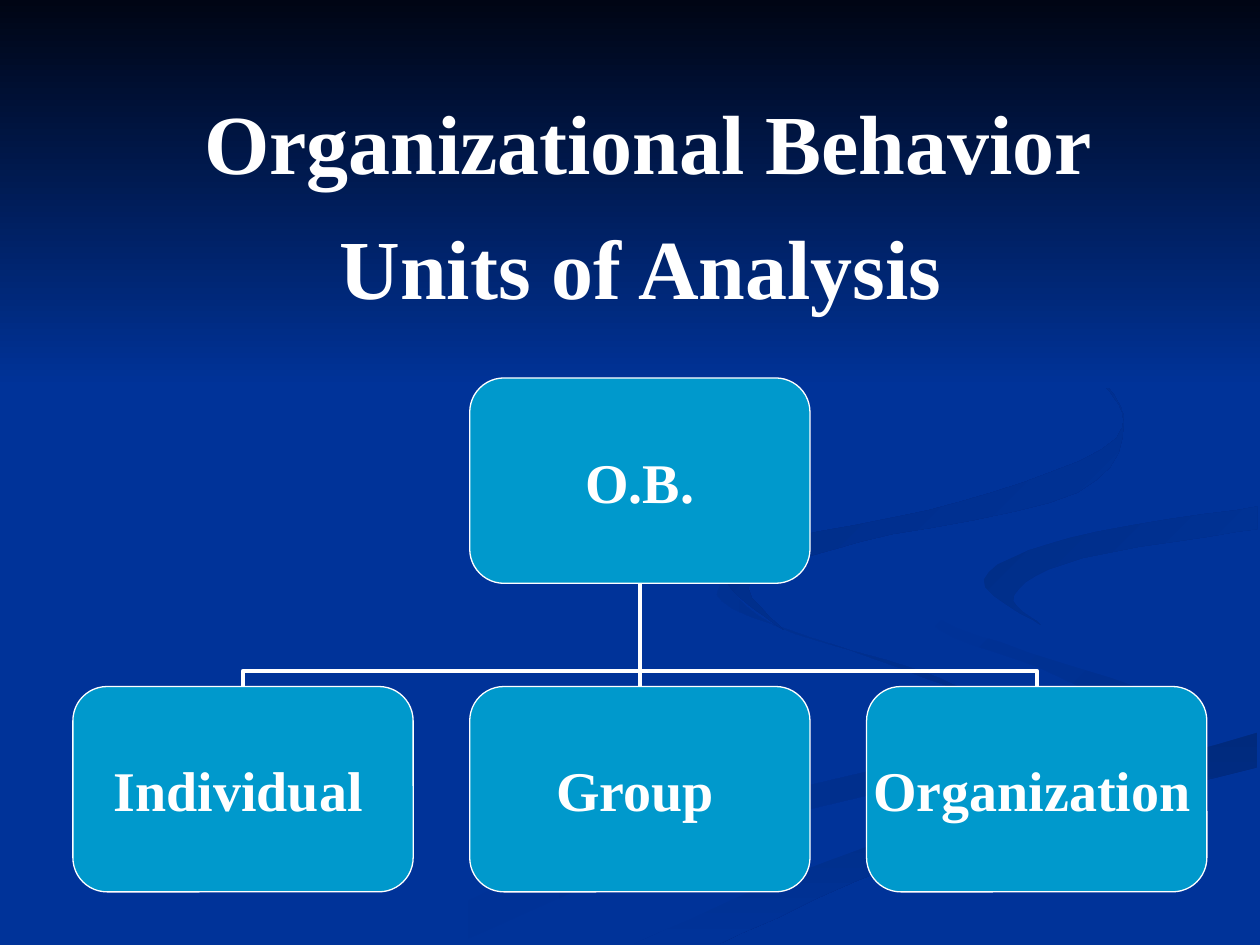
from lxml.etree import SubElement
from pptx import Presentation
from pptx.dml.color import RGBColor
from pptx.enum.shapes import MSO_CONNECTOR, MSO_SHAPE
from pptx.enum.text import MSO_ANCHOR, PP_ALIGN
from pptx.oxml.ns import qn
from pptx.util import Cm, Pt

COLORS = {
    "background": "003399",
    "night": "000514",
    "box": "0099CC",
    "white": "FFFFFF",
    "lower": "002E8B",
    "tail": "002A7D",
    "inner": "002D86",
    "upper": "002B82",
}
FONT = "Times New Roman"
SWIRL_UNIT = Cm(0.0254)
CURVE_STEPS = 6

BOX_WIDTH, BOX_HEIGHT = 6.86, 4.14
BOX_LEFT, BOX_PITCH = 1.47, 8.0
PARENT_TOP, CHILD_TOP = 7.62, 13.84
CHILDREN = ["Individual", "Group", "Organization"]

SWIRLS = [
    ("background", "lower", 0,
     [(575, 459), (581, 483), (714, 530), (786, 566), (714, 605), (499, 661), (300, 749)],
     [(361, 749), (564, 665), (769, 609), (800, 581), (745, 538), (614, 496), (575, 459)]),
    ("background", "lower", 45,
     [(724, 464), (758, 498), (905, 540), (943, 570), (894, 605)],
     [(894, 605), (918, 581), (838, 536), (746, 500), (724, 464)]),
    ("tail", "background", 90,
     [(503, 749), (630, 693), (764, 647), (998, 581)],
     [(998, 609), (752, 672), (571, 749)]),
    ("background", "background", 0,
     [(999, 387), (788, 422), (725, 464), (793, 509), (943, 570), (780, 634), (477, 749)],
     [(503, 749), (696, 669), (999, 581)],
     [(999, 538), (832, 498), (781, 463), (850, 427), (999, 402)]),
    ("inner", "background", 45,
     [(998, 402), (849, 427), (781, 460), (826, 496)],
     [(826, 496), (805, 472), (859, 443), (998, 420)]),
    ("upper", "background", 45,
     [(762, 233), (862, 292), (886, 348), (763, 398), (605, 433), (577, 462), (622, 500)],
     [(622, 500), (596, 461), (683, 430), (855, 391), (890, 324), (821, 261), (762, 233)]),
]


def rgb(name):
    return RGBColor.from_string(COLORS[name])


def fill_gradient(shape, start, end, angle):
    shape.fill.gradient()
    shape.fill.gradient_angle = (360 - angle) % 360
    for stop, name in zip(shape.fill.gradient_stops, (start, end)):
        stop.color.rgb = rgb(name)


def fill_solid(shape, name):
    shape.fill.solid()
    shape.fill.fore_color.rgb = rgb(name)


def format_run(run, size, bold=True):
    run.font.name = FONT
    run.font.size = Pt(size)
    run.font.bold = bold
    run.font.color.rgb = rgb("white")


def blend(before, start, end, after, t):
    return (start + (end - before) * t / 2
            + (before - 2.5 * start + 2 * end - after / 2) * t ** 2
            + (1.5 * (start - end) + (after - before) / 2) * t ** 3)


def smooth_edge(points):
    padded = [points[0], *points, points[-1]]
    curve = [
        tuple(blend(*values, step / CURVE_STEPS) for values in zip(*window))
        for window in zip(padded, padded[1:], padded[2:], padded[3:])
        for step in range(CURVE_STEPS)
    ]
    return curve + [points[-1]]


def add_swirl(slide, start, end, angle, *edges):
    outline = [point for edge in edges for point in smooth_edge(edge)]
    builder = slide.shapes.build_freeform(*outline[0], scale=SWIRL_UNIT)
    builder.add_line_segments(outline[1:], close=True)
    shape = builder.convert_to_shape()
    shape.shadow.inherit = False
    shape.line.fill.background()
    if start == end:
        fill_solid(shape, start)
    else:
        fill_gradient(shape, start, end, angle)


def add_top_band(slide):
    shape = slide.shapes.add_shape(
        MSO_SHAPE.RECTANGLE, Cm(0), Cm(0), Cm(25.4), Cm(7.82))
    shape.shadow.inherit = False
    shape.line.fill.background()
    fill_gradient(shape, "night", "background", 90)


def add_title(slide):
    shape = slide.shapes.add_textbox(Cm(1.27), Cm(1.7), Cm(23.29), Cm(5.69))
    text_frame = shape.text_frame
    text_frame.word_wrap = True
    text_frame.text = " \nUnits of Analysis"
    first, second = text_frame.paragraphs
    first.add_run().text = "Organizational Behavior"
    second.space_before = Pt(14)
    for paragraph in (first, second):
        paragraph.alignment = PP_ALIGN.CENTER
        properties = paragraph._p.get_or_add_pPr()
        properties.set("marL", str(Cm(0.95)))
        properties.set("indent", str(-Cm(0.95)))
        for run in paragraph.runs:
            format_run(run, 48)
    first.runs[0].font.size = Pt(36)


def add_box(slide, column, top, label, trailing_space=True):
    shape = slide.shapes.add_shape(
        MSO_SHAPE.ROUNDED_RECTANGLE, Cm(BOX_LEFT + column * BOX_PITCH), Cm(top),
        Cm(BOX_WIDTH), Cm(BOX_HEIGHT))
    shape.shadow.inherit = False
    fill_solid(shape, "box")
    shape.line.color.rgb = rgb("white")
    shape.line.width = Pt(0.75)
    text_frame = shape.text_frame
    text_frame.margin_left = text_frame.margin_right = 0
    text_frame.margin_top = text_frame.margin_bottom = 0
    text_frame.word_wrap = False
    text_frame.vertical_anchor = MSO_ANCHOR.MIDDLE
    text_frame.text = label
    paragraph = text_frame.paragraphs[0]
    paragraph.alignment = PP_ALIGN.CENTER
    format_run(paragraph.runs[0], 32)
    if trailing_space:
        space = paragraph.add_run()
        space.text = " "
        format_run(space, 21, bold=False)


def add_branch(slide, side):
    parent_x = BOX_LEFT + BOX_PITCH + BOX_WIDTH / 2
    parent_y = PARENT_TOP + BOX_HEIGHT
    center_x = parent_x + side * BOX_PITCH / 2
    center_y = (parent_y + CHILD_TOP) / 2
    half_drop = (CHILD_TOP - parent_y) / 2
    half_rise = BOX_PITCH / 2 if side else half_drop
    shift = side * half_drop
    kind = MSO_CONNECTOR.ELBOW if side else MSO_CONNECTOR.STRAIGHT
    connector = slide.shapes.add_connector(
        kind, Cm(center_x - shift), Cm(center_y + half_rise),
        Cm(center_x + shift), Cm(center_y - half_rise))
    connector.line.color.rgb = rgb("white")
    connector.line.width = Pt(2.25)
    properties = connector._element.spPr
    SubElement(properties, qn("a:effectLst"))
    if side:
        rotation = 270 if side > 0 else 90
        properties.find(qn("a:xfrm")).set("rot", str(rotation * 60000))
        adjustments = properties.find(qn("a:prstGeom")).get_or_add_avLst()
        SubElement(adjustments, qn("a:gd"), name="adj1", fmla="val 15300")


def main():
    presentation = Presentation()
    presentation.slide_width, presentation.slide_height = Cm(25.4), Cm(19.05)
    slide = presentation.slides.add_slide(presentation.slide_layouts[6])
    fill_solid(slide.background, "background")
    for swirl in SWIRLS:
        add_swirl(slide, *swirl)
    add_top_band(slide)
    add_title(slide)
    for side in (1, 0, -1):
        add_branch(slide, side)
    add_box(slide, 1, PARENT_TOP, "O.B.", trailing_space=False)
    for column, label in enumerate(CHILDREN):
        add_box(slide, column, CHILD_TOP, label)
    presentation.save("out.pptx")


if __name__ == "__main__":
    main()
